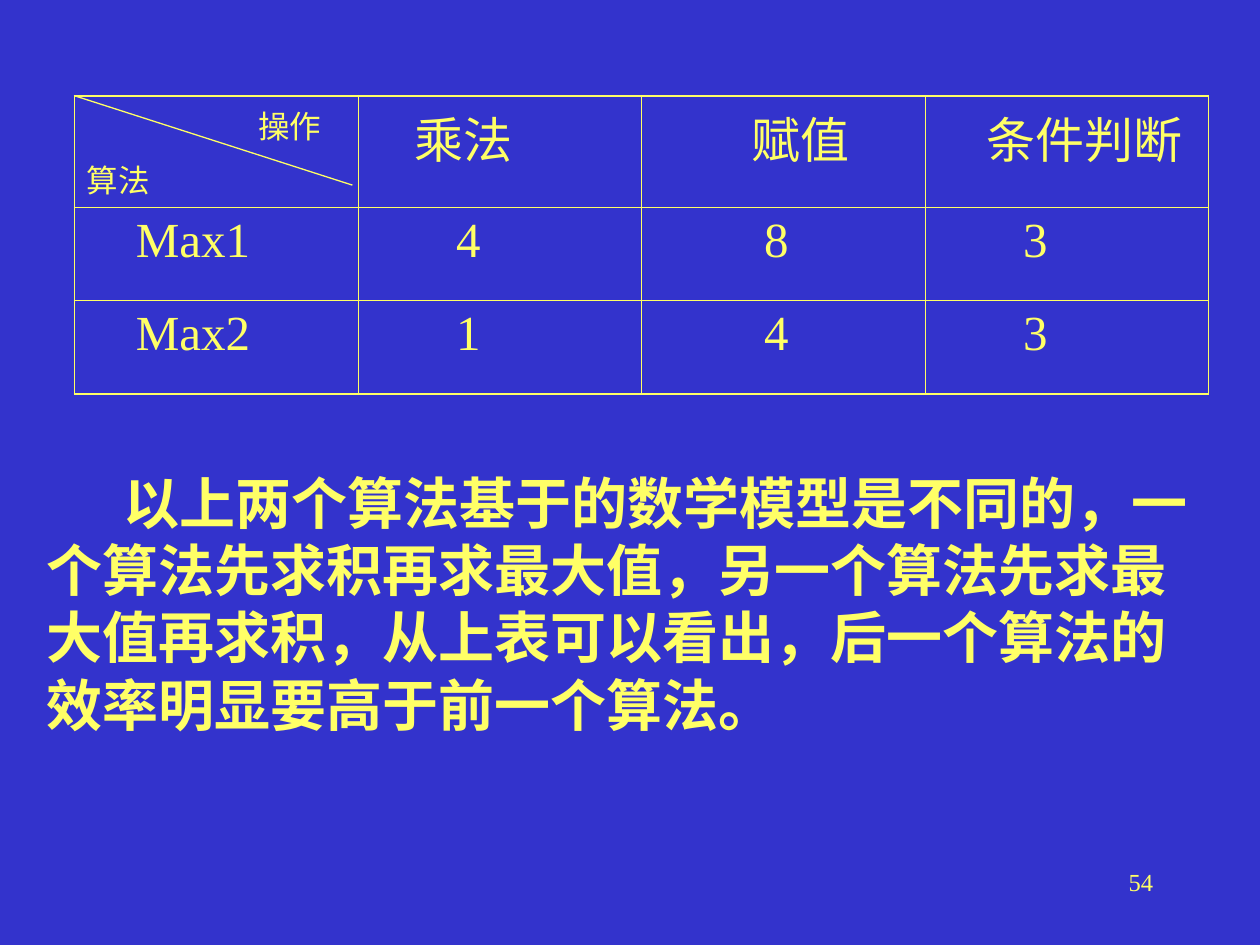
from dataclasses import dataclass

import pptx
import pptx.dml.color
import pptx.enum.shapes
import pptx.enum.text
import pptx.oxml
import pptx.oxml.ns
import pptx.util

Pt = pptx.util.Pt
YELLOW = "FFFF66"
BLUE = "3333CC"
SERIF = "Times New Roman"
TABLE_LEFT, TABLE_TOP = 42.5, 54.7
COLUMN_WIDTH = 162
ROW_HEIGHTS = (55.4, 53.3, 53.3)
OUTER_BORDER, INNER_BORDER = 1.08, 0.45


@dataclass
class Line:
    text: str
    size: float = 28
    indent: float = 0
    space_before: float = 0
    font: str = SERIF
    bold: bool = False
    align: pptx.enum.text.PP_ALIGN = pptx.enum.text.PP_ALIGN.LEFT


def color(value: str) -> pptx.dml.color.RGBColor:
    return pptx.dml.color.RGBColor.from_string(value)


def write_lines(text_frame, lines: list[Line]) -> None:
    text_frame.word_wrap = True
    for index, line in enumerate(lines):
        paragraph = text_frame.add_paragraph() if index else text_frame.paragraphs[0]
        paragraph.alignment = line.align
        if line.space_before:
            paragraph.space_before = Pt(line.space_before)
        if line.indent:
            paragraph._p.get_or_add_pPr().set("indent", str(Pt(line.indent)))
        run = paragraph.add_run()
        run.text = line.text
        run.font.name = line.font
        run.font.size = Pt(line.size)
        run.font.bold = line.bold
        run.font.color.rgb = color(YELLOW)


def add_text(slide, left: float, top: float, width: float, height: float, line: Line) -> None:
    box = slide.shapes.add_textbox(Pt(left), Pt(top), Pt(width), Pt(height))
    write_lines(box.text_frame, [line])


def set_borders(cell, widths: dict[str, float]) -> None:
    properties = cell._tc.get_or_add_tcPr()
    for side, width in widths.items():
        properties.append(pptx.oxml.parse_xml(
            f'<a:ln{side} {pptx.oxml.ns.nsdecls("a")} w="{Pt(width)}"><a:solidFill>'
            f'<a:srgbClr val="{YELLOW}"/></a:solidFill></a:ln{side}>'))


def add_table(slide, rows: list[list[list[Line]]]) -> None:
    last_row, last_column = len(rows) - 1, len(rows[0]) - 1
    table = slide.shapes.add_table(
        len(rows), len(rows[0]), Pt(TABLE_LEFT), Pt(TABLE_TOP),
        Pt(COLUMN_WIDTH * len(rows[0])), Pt(sum(ROW_HEIGHTS))).table
    table.first_row = table.horz_banding = False
    for column in table.columns:
        column.width = Pt(COLUMN_WIDTH)
    for row_index, row in enumerate(rows):
        table.rows[row_index].height = Pt(ROW_HEIGHTS[row_index])
        for column_index, lines in enumerate(row):
            cell = table.cell(row_index, column_index)
            outer = {"L": column_index == 0, "R": column_index == last_column,
                     "T": row_index == 0, "B": row_index == last_row}
            set_borders(cell, {side: OUTER_BORDER if edge else INNER_BORDER
                               for side, edge in outer.items()})
            cell.fill.background()
            write_lines(cell.text_frame, lines)


def add_line(slide, left: float, top: float, right: float, bottom: float) -> None:
    connector = slide.shapes.add_connector(
        pptx.enum.shapes.MSO_CONNECTOR.STRAIGHT, Pt(left), Pt(top), Pt(right), Pt(bottom))
    connector.line.color.rgb = color(YELLOW)
    connector.line.width = Pt(0.75)
    connector._element.spPr.append(
        pptx.oxml.parse_xml(f'<a:effectLst {pptx.oxml.ns.nsdecls("a")}/>'))


def main() -> None:
    presentation = pptx.Presentation()
    presentation.slide_width, presentation.slide_height = Pt(720), Pt(540)
    slide = presentation.slides.add_slide(presentation.slide_layouts[6])
    slide.background.fill.solid()
    slide.background.fill.fore_color.rgb = color(BLUE)

    # Comparison table with a split corner cell
    corner = [Line("操作", 18, indent=98), Line("算法", 18, space_before=4.5)]
    headings = [Line("乘法", indent=25), Line("赋值", indent=56), Line("条件判断", indent=28)]
    counts = [("Max1", "4", "8", "3"), ("Max2", "1", "4", "3")]
    count_indents = (28, 49, 63, 49)
    rows = [[corner] + [[heading] for heading in headings]]
    for values in counts:
        rows.append([[Line(value, indent=indent)]
                     for value, indent in zip(values, count_indents)])
    add_table(slide, rows)
    add_line(slide, TABLE_LEFT, TABLE_TOP, 201.4, 105.8)

    # Conclusion
    add_text(slide, 19.4, 264.2, 674.6, 161.3, Line(
        "以上两个算法基于的数学模型是不同的，一个算法先求积再求最大值，"
        "另一个算法先求最大值再求积，从上表可以看出，后一个算法的效率明显要高于前一个算法。",
        32, indent=44, font="Arial", bold=True))

    # Page number
    add_text(slide, 516.2, 491.8, 149.8, 36,
             Line("54", 14, align=pptx.enum.text.PP_ALIGN.RIGHT))

    presentation.save("out.pptx")


if __name__ == "__main__":
    main()
